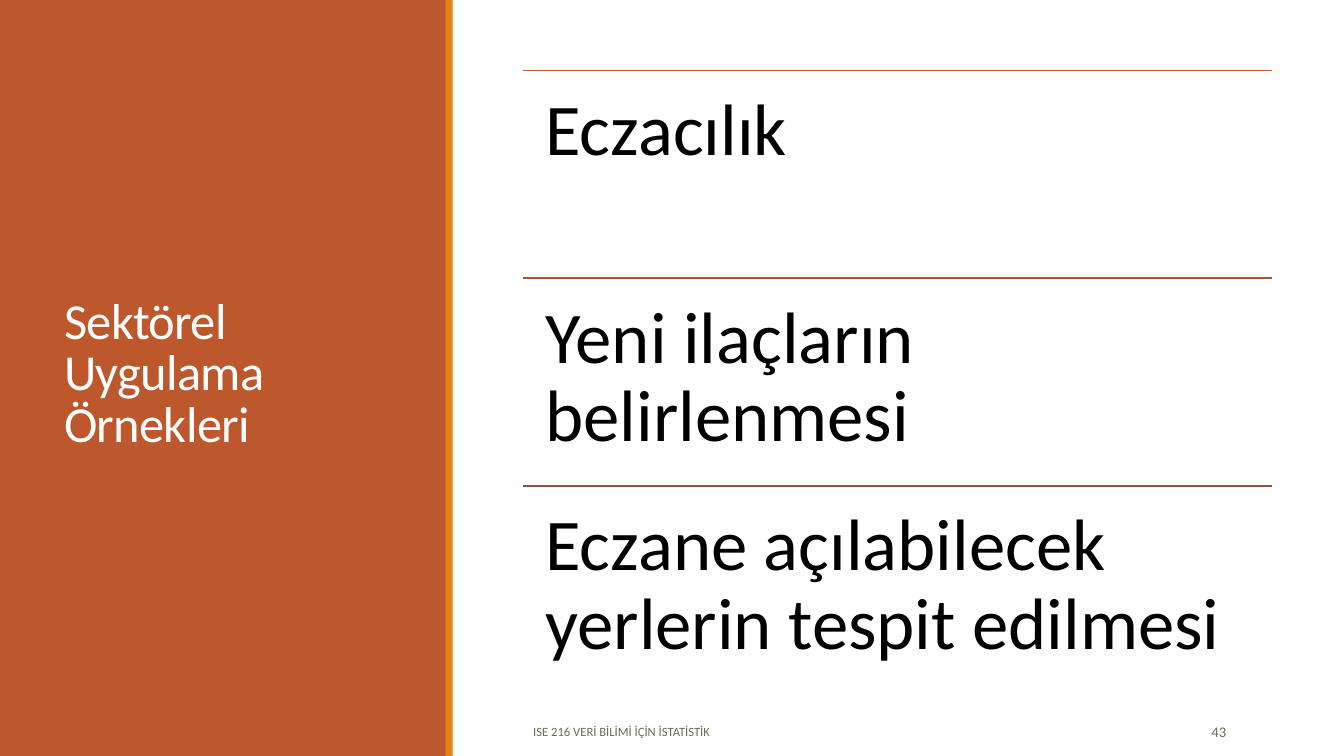
from pptx import Presentation
from pptx.dml.color import RGBColor as RGB
from pptx.enum.shapes import MSO_CONNECTOR as Conn, MSO_SHAPE as Shape
from pptx.enum.text import MSO_ANCHOR as Anchor, PP_ALIGN as Align
from pptx.oxml.ns import qn
from pptx.util import Inches, Pt
from lxml.etree import SubElement

RUST = RGB(0xBD, 0x58, 0x2C)
BROWN = RGB(0xA0, 0x58, 0x37)
UMBER = RGB(0x86, 0x56, 0x40)
AMBER = RGB(0xE4, 0x83, 0x12)
OLIVE = RGB(0x63, 0x70, 0x52)
WHITE = RGB(0xFF, 0xFF, 0xFF)
BLACK = RGB(0, 0, 0)

LEFT, WIDTH = 5.19, 7.43
TOP, STEP = 0.7, 2.06
ROWS = [
    ("Eczacılık", RUST),
    ("Yeni ilaçların belirlenmesi", BROWN),
    ("Eczane açılabilecek yerlerin tespit edilmesi", UMBER),
]


def add_bar(slide, left, width, color):
    """Add a full-height bar."""
    bar = slide.shapes.add_shape(
        Shape.RECTANGLE, Inches(left), 0, Inches(width), Inches(7.5))
    bar.shadow.inherit = False
    bar.fill.solid()
    bar.fill.fore_color.rgb = color
    bar.line.fill.background()


def add_rule(slide, top, color):
    """Add a horizontal rule above a row."""
    rule = slide.shapes.add_connector(
        Conn.STRAIGHT, Inches(LEFT), Inches(top),
        Inches(LEFT + WIDTH), Inches(top))
    rule.line.color.rgb = color
    rule.line.width = Pt(1.25)
    SubElement(rule._element.spPr, qn("a:effectLst"))


def add_text(slide, text, box, size, color, anchor=Anchor.MIDDLE,
             align=Align.LEFT, pad=None, lead=1.0, after=0, track=0):
    """Add a wrapped text box with one formatted paragraph."""
    shape = slide.shapes.add_textbox(*[Inches(n) for n in box])
    frame = shape.text_frame
    frame.word_wrap = True
    frame.vertical_anchor = anchor
    if pad is not None:
        frame.margin_left = frame.margin_right = Inches(pad)
        frame.margin_top = frame.margin_bottom = Inches(pad)
    para = frame.paragraphs[0]
    para.alignment = align
    para.line_spacing = lead
    para.space_after = Pt(after)
    run = para.add_run()
    run.text = text
    run.font.name = "Calibri"
    run.font.size = Pt(size)
    run.font.color.rgb = color
    if track:
        run.font._element.set("spc", str(int(track * 100)))


def main():
    """Build and save the slide."""
    deck = Presentation()
    deck.slide_width, deck.slide_height = Inches(13.33), Inches(7.5)
    slide = deck.slides.add_slide(deck.slide_layouts[6])

    add_bar(slide, 0, 4.43, RUST)
    add_bar(slide, 4.42, 0.07, AMBER)
    add_text(slide, "Sektörel Uygulama Örnekleri", (0.54, 0.57, 3.37, 6.31),
             36, WHITE, lead=0.85, track=-0.5)
    add_text(slide, "ISE 216 VERİ BİLİMİ İÇİN İSTATİSTİK",
             (LEFT, 7.06, 5.58, 0.4), 9, OLIVE, after=6)
    add_text(slide, "43", (11.07, 7.06, 1.19, 0.4), 10.5, OLIVE,
             align=Align.RIGHT, after=6)

    for i, (text, color) in enumerate(ROWS):
        top = TOP + i * STEP
        add_rule(slide, top, color)
        add_text(slide, text, (LEFT, top, WIDTH, STEP), 52, BLACK,
                 anchor=Anchor.TOP, pad=0.22, lead=0.9)

    deck.save("out.pptx")


if __name__ == "__main__":
    main()
